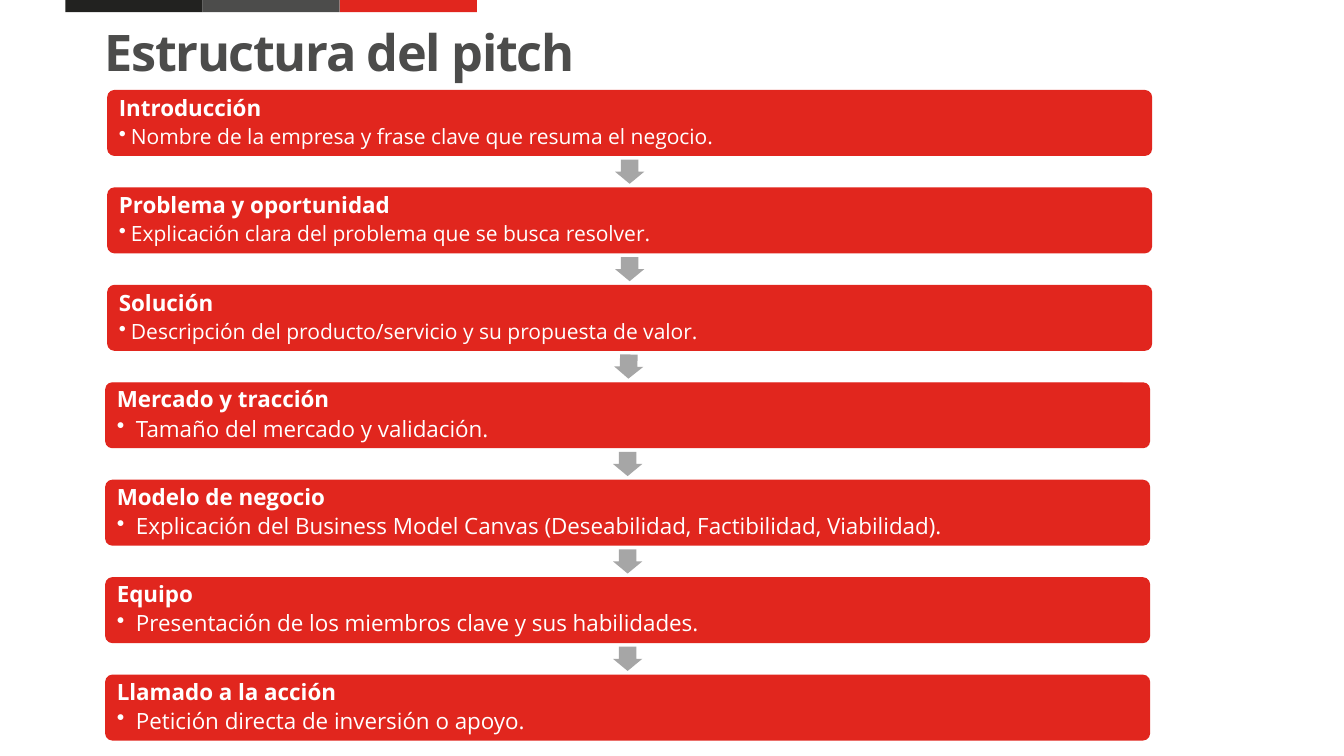
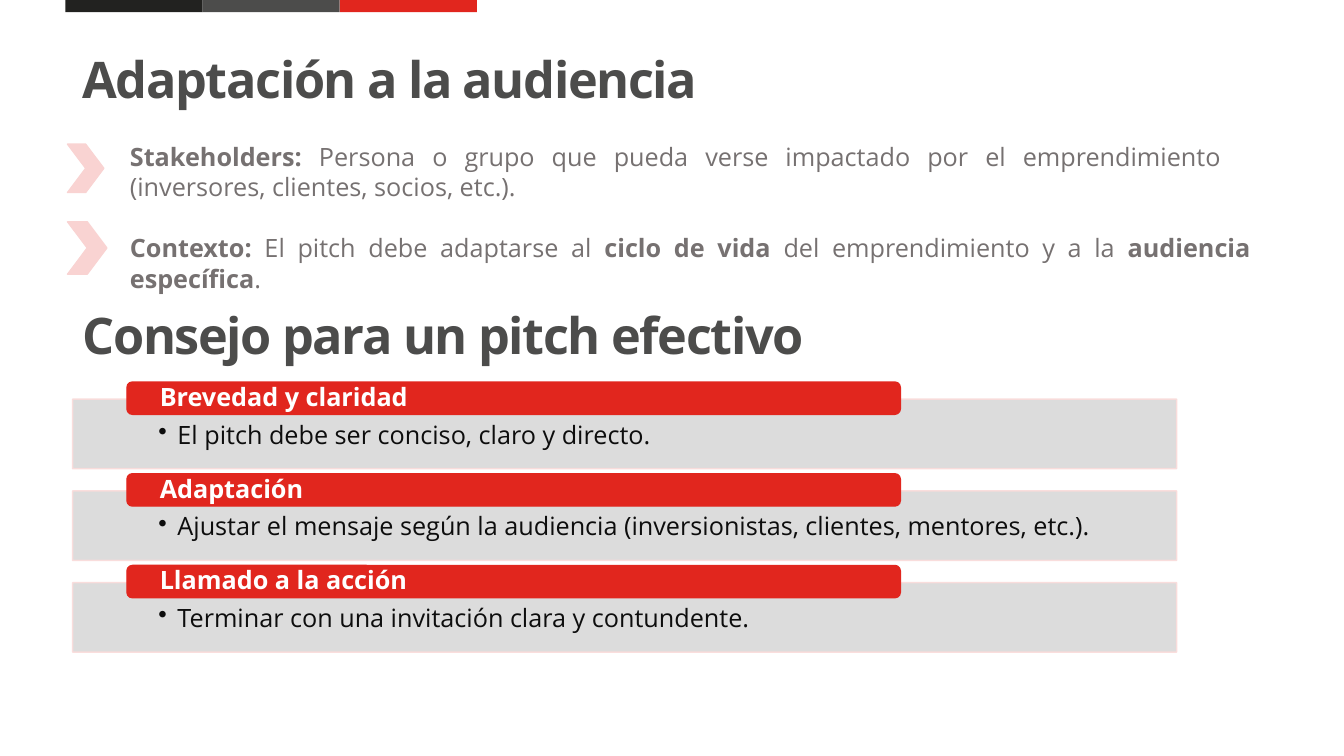
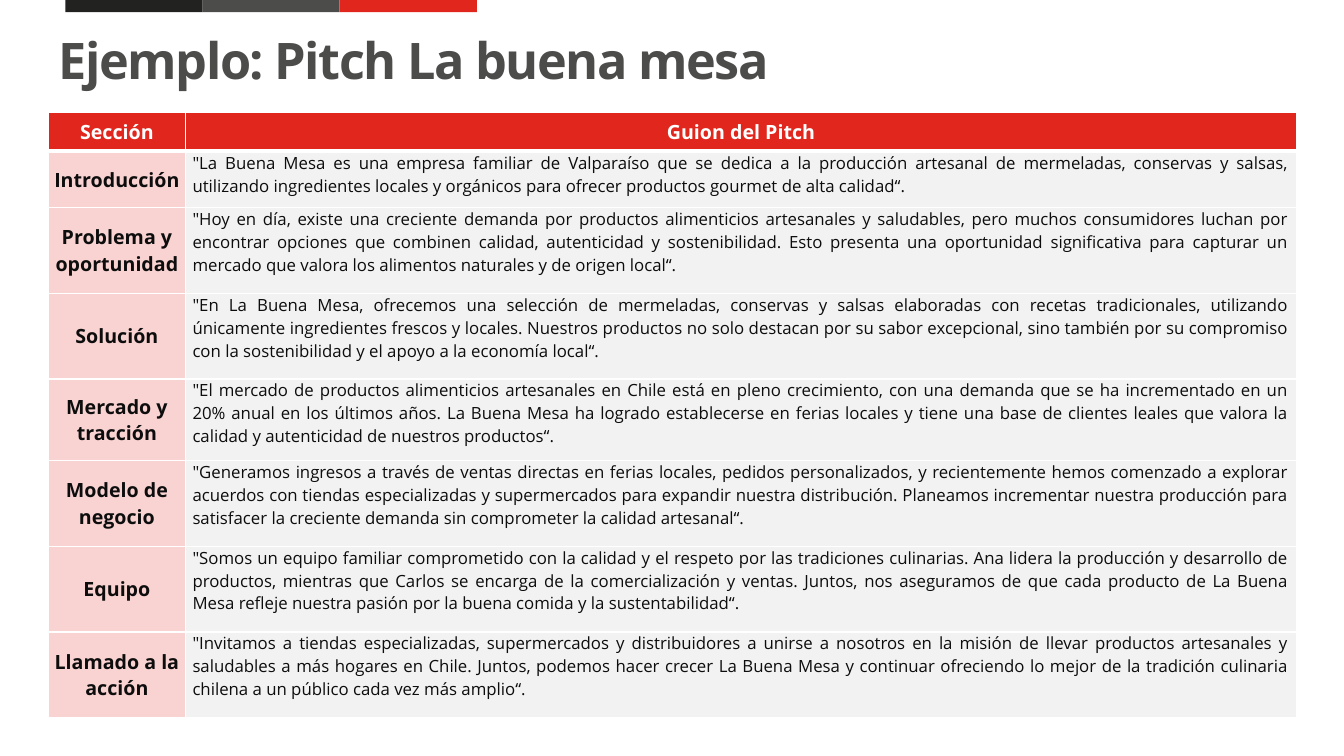
from math import atan2, degrees

from lxml.etree import SubElement
from pptx import Presentation
from pptx.dml.color import RGBColor
from pptx.enum.shapes import MSO_SHAPE as Shape
from pptx.enum.text import MSO_ANCHOR as Anchor, PP_ALIGN as Align
from pptx.oxml.ns import qn
from pptx.util import Inches, Pt

# Shared look
FONT = "Open Sans"
BLACK = RGBColor(0x22, 0x22, 0x20)
CHARCOAL = RGBColor(0x4C, 0x4C, 0x4B)
RED = RGBColor(0xE1, 0x26, 0x1E)
PINK = RGBColor(0xF9, 0xD3, 0xD2)
PALE_PINK = RGBColor(0xFA, 0xDB, 0xDA)
SILVER = RGBColor(0xD9, 0xD9, 0xD9)
ARROW_GRAY = RGBColor(0xA6, 0xA6, 0xA6)
TEXT_GRAY = RGBColor(0x76, 0x71, 0x71)
INK = RGBColor(0x0D, 0x0D, 0x0D)
LIGHT = RGBColor(0xF2, 0xF2, 0xF2)
WHITE = RGBColor(0xFF, 0xFF, 0xFF)

# Slide 1: heading, detail, box left, detail size, bullet indent
STEPS = [
    ("Introducción", "Nombre de la empresa y frase clave que resuma el negocio.", 1.07, 15, 0.12),
    ("Problema y oportunidad", "Explicación clara del problema que se busca resolver.", 1.07, 15, 0.12),
    ("Solución", "Descripción del producto/servicio y su propuesta de valor.", 1.07, 15, 0.12),
    ("Mercado y tracción", "Tamaño del mercado y validación.", 1.05, 16, 0.19),
    ("Modelo de negocio",
     "Explicación del Business Model Canvas (Deseabilidad, Factibilidad, Viabilidad).", 1.05, 16, 0.19),
    ("Equipo", "Presentación de los miembros clave y sus habilidades.", 1.05, 16, 0.19),
    ("Llamado a la acción", "Petición directa de inversión o apoyo.", 1.05, 16, 0.19),
]

# Slide 2: runs are (text, bold)
STAKEHOLDERS = [
    ("Stakeholders: ", True),
    ("Persona o grupo que pueda verse impactado por el emprendimiento "
     "(inversores, clientes, socios, etc.).", False),
]
CONTEXT = [
    ("Contexto: ", True), ("El pitch debe adaptarse al ", False), ("ciclo de vida ", True),
    ("del emprendimiento y a la ", False), ("audiencia específica", True), (".", False),
]
TIPS = [
    ("Brevedad y claridad", "El pitch debe ser conciso, claro y directo."),
    ("Adaptación",
     "Ajustar el mensaje según la audiencia (inversionistas, clientes, mentores, etc.)."),
    ("Llamado a la acción", "Terminar con una invitación clara y contundente."),
]

# Slide 3: section, script, row height
PITCH = [
    ("Sección", "Guion del Pitch", 0.38),
    ("Introducción",
     "\"La Buena Mesa es una empresa familiar de Valparaíso que se dedica a la producción artesanal "
     "de mermeladas, conservas y salsas, utilizando ingredientes locales y orgánicos para ofrecer "
     "productos gourmet de alta calidad“.", 0.56),
    ("Problema y oportunidad",
     "\"Hoy en día, existe una creciente demanda por productos alimenticios artesanales y saludables, "
     "pero muchos consumidores luchan por encontrar opciones que combinen calidad, autenticidad y "
     "sostenibilidad. Esto presenta una oportunidad significativa para capturar un mercado que valora "
     "los alimentos naturales y de origen local“.", 0.85),
    ("Solución",
     "\"En La Buena Mesa, ofrecemos una selección de mermeladas, conservas y salsas elaboradas con "
     "recetas tradicionales, utilizando únicamente ingredientes frescos y locales. Nuestros productos "
     "no solo destacan por su sabor excepcional, sino también por su compromiso con la sostenibilidad "
     "y el apoyo a la economía local“.", 0.85),
    ("Mercado y tracción",
     "\"El mercado de productos alimenticios artesanales en Chile está en pleno crecimiento, con una "
     "demanda que se ha incrementado en un 20% anual en los últimos años. La Buena Mesa ha logrado "
     "establecerse en ferias locales y tiene una base de clientes leales que valora la calidad y "
     "autenticidad de nuestros productos“.", 0.81),
    ("Modelo de negocio",
     "\"Generamos ingresos a través de ventas directas en ferias locales, pedidos personalizados, y "
     "recientemente hemos comenzado a explorar acuerdos con tiendas especializadas y supermercados "
     "para expandir nuestra distribución. Planeamos incrementar nuestra producción para satisfacer la "
     "creciente demanda sin comprometer la calidad artesanal“.", 0.85),
    ("Equipo",
     "\"Somos un equipo familiar comprometido con la calidad y el respeto por las tradiciones "
     "culinarias. Ana lidera la producción y desarrollo de productos, mientras que Carlos se encarga "
     "de la comercialización y ventas. Juntos, nos aseguramos de que cada producto de La Buena Mesa "
     "refleje nuestra pasión por la buena comida y la sustentabilidad“.", 0.85),
    ("Llamado a la acción",
     "\"Invitamos a tiendas especializadas, supermercados y distribuidores a unirse a nosotros en la "
     "misión de llevar productos artesanales y saludables a más hogares en Chile. Juntos, podemos "
     "hacer crecer La Buena Mesa y continuar ofreciendo lo mejor de la tradición culinaria chilena a "
     "un público cada vez más amplio“.", 0.85),
]


def set_format(target, values):
    for name, value in values.items():
        setattr(target, name, value)


def set_margins(target, left, top, right, bottom):
    set_format(target, {"margin_left": Inches(left), "margin_top": Inches(top),
                        "margin_right": Inches(right), "margin_bottom": Inches(bottom)})


def write(paragraph, runs, size, color, **layout):
    """Fill a paragraph with (text, bold) runs."""
    set_format(paragraph, layout)
    for text, bold in runs:
        run = paragraph.add_run()
        run.text = text
        set_format(run.font, {"name": FONT, "size": Pt(size), "bold": bold})
        run.font.color.rgb = color
    return paragraph


def add_bullet(paragraph, indent):
    props = paragraph._p.get_or_add_pPr()
    props.set("marL", str(Inches(indent)))
    props.set("indent", str(-Inches(indent)))
    SubElement(props, qn("a:buChar")).set("char", "•")


def add_block(slide, kind, box, fill, line=None, adjustments=()):
    block = slide.shapes.add_shape(kind, *map(Inches, box))
    block.shadow.inherit = False
    block.fill.solid()
    block.fill.fore_color.rgb = fill
    if line is None:
        block.line.fill.background()
    else:
        block.line.color.rgb = line
        block.line.width = Pt(1)
    for index, value in enumerate(adjustments):
        block.adjustments[index] = value
    return block


def text_in(block, margins, anchor):
    frame = block.text_frame
    set_format(frame, {"word_wrap": True, "vertical_anchor": anchor})
    set_margins(frame, *margins)
    return frame


def add_text(slide, box, runs, size, color, **layout):
    frame = slide.shapes.add_textbox(*map(Inches, box)).text_frame
    frame.word_wrap = True
    return write(frame.paragraphs[0], runs, size, color, **layout)


def add_title(slide, left, top, width, text):
    title = add_text(slide, (left, top, width, 0.69), [(text, True)], 36, CHARCOAL,
                     line_spacing=Pt(42))
    title.runs[0].font._element.set("spc", "-100")


def new_slide(deck):
    """Blank slide with the three-colour band at the top."""
    slide = deck.slides.add_slide(deck.slide_layouts[6])
    for index, color in enumerate((BLACK, CHARCOAL, RED)):
        add_block(slide, Shape.RECTANGLE, (0.65 + index * 1.36, 0, 1.36, 0.12), color)
    return slide


# Slide 1 parts
def add_step(slide, box, heading, detail, detail_size, indent):
    step = add_block(slide, Shape.ROUNDED_RECTANGLE, box, RED, RED, [0.1])
    frame = text_in(step, (0.09, 0.09, 0.09, 0.09), Anchor.MIDDLE)
    write(frame.paragraphs[0], [(heading, True)], 16, WHITE,
          alignment=Align.LEFT, line_spacing=0.9, space_after=Pt(3.5))
    add_bullet(write(frame.add_paragraph(), [(detail, False)], detail_size, WHITE,
                     alignment=Align.LEFT, line_spacing=0.9, space_after=Pt(1.5)), indent)


def add_step_arrow(slide, center_x, center_y, rotation):
    width, height = 0.29, 0.24
    arrow = add_block(slide, Shape.DOWN_ARROW,
                      (center_x - width / 2, center_y - height / 2, width, height),
                      ARROW_GRAY, adjustments=[0.6, 0.5])
    arrow.rotation = rotation


def add_step_flow(slide, top, bottom, width, height):
    pitch = (bottom - height - top) / (len(STEPS) - 1)
    for index, (heading, detail, left, size, indent) in enumerate(STEPS):
        y = top + index * pitch
        add_step(slide, (left, y, width, height), heading, detail, size, indent)
        if index + 1 < len(STEPS):
            next_left = STEPS[index + 1][2]
            add_step_arrow(slide, (left + next_left + width) / 2, y + (height + pitch) / 2,
                           degrees(atan2(left - next_left, pitch)))


# Slide 2 parts
def add_audience_point(slide, marker_box, text_box, runs):
    add_text(slide, text_box, runs, 18, TEXT_GRAY, alignment=Align.JUSTIFY)
    add_block(slide, Shape.CHEVRON, marker_box, PINK, PINK)


def add_tip(slide, left, top, heading, detail):
    panel = add_block(slide, Shape.RECTANGLE, (left, top, 10.95, 0.69), SILVER, PALE_PINK)
    for color in panel._element.spPr.iter(qn("a:srgbClr")):
        SubElement(color, qn("a:alpha")).set("val", "90000")
    frame = text_in(panel, (0.85, 0.23, 0.85, 0.14), Anchor.TOP)
    add_bullet(write(frame.paragraphs[0], [(detail, False)], 18, INK,
                     alignment=Align.LEFT, line_spacing=0.9), 0.19)

    tab = add_block(slide, Shape.ROUNDED_RECTANGLE, (left + 0.54, top - 0.17, 7.67, 0.32), RED, RED)
    frame = text_in(tab, (0.31, 0, 0.31, 0), Anchor.MIDDLE)
    write(frame.paragraphs[0], [(heading, True)], 18, WHITE,
          alignment=Align.LEFT, line_spacing=0.9)


# Slide 3 parts
def add_cell_borders(cell, bottom_width):
    props = cell._tc.get_or_add_tcPr()
    widths = {"a:lnL": 1, "a:lnR": 1, "a:lnT": 1, "a:lnB": bottom_width}
    for index, (side, width) in enumerate(widths.items()):
        border = props.makeelement(qn(side), {"w": str(Pt(width))})
        fill = SubElement(border, qn("a:solidFill"))
        SubElement(fill, qn("a:srgbClr")).set("val", str(WHITE))
        props.insert(index, border)


def add_cell(cell, text, is_header, is_script):
    if is_header:
        fill, color = RED, WHITE
    else:
        fill, color = (LIGHT if is_script else PINK), INK
    body = is_script and not is_header
    side = 0.07 if body else 0.04
    cell.fill.solid()
    cell.fill.fore_color.rgb = fill
    cell.vertical_anchor = Anchor.TOP if body else Anchor.MIDDLE
    set_margins(cell, side, 0, side, 0)
    write(cell.text_frame.paragraphs[0], [(text, not body)], 12 if body else 14, color,
          alignment=Align.JUSTIFY if body else Align.CENTER, space_after=Pt(8))
    add_cell_borders(cell, 3 if is_header else 1)


def add_pitch_table(slide, left, top, column_widths):
    height = sum(row[2] for row in PITCH)
    box = (left, top, sum(column_widths), height)
    table = slide.shapes.add_table(len(PITCH), len(column_widths), *map(Inches, box)).table
    table.horz_banding = False
    for column, width in zip(table.columns, column_widths):
        column.width = Inches(width)
    for index, (section, script, row_height) in enumerate(PITCH):
        table.rows[index].height = Inches(row_height)
        add_cell(table.cell(index, 0), section, index == 0, False)
        add_cell(table.cell(index, 1), script, index == 0, True)


# Slides
def structure_slide(deck):
    slide = new_slide(deck)
    add_title(slide, 0.94, 0.18, 9.12, "Estructura del pitch")
    add_step_flow(slide, 0.9, 7.34, 10.35, 0.64)


def audience_slide(deck):
    slide = new_slide(deck)
    add_title(slide, 0.72, 0.44, 9.47, "Adaptación a la audiencia")
    add_audience_point(slide, (0.67, 1.43, 0.36, 0.48), (1.19, 1.35, 11.02, 0.71), STAKEHOLDERS)
    add_audience_point(slide, (0.67, 2.2, 0.39, 0.52), (1.19, 2.26, 11.31, 0.71), CONTEXT)
    add_title(slide, 0.72, 2.98, 7.99, "Consejo para un pitch efectivo")
    for index, (heading, detail) in enumerate(TIPS):
        add_tip(slide, 0.72, 3.96 + index * 0.91, heading, detail)


def example_slide(deck):
    slide = new_slide(deck)
    add_pitch_table(slide, 0.48, 1.12, (1.36, 11.02))
    add_title(slide, 0.48, 0.26, 12.38, "Ejemplo: Pitch La buena mesa")


def main():
    deck = Presentation()
    deck.slide_width, deck.slide_height = Inches(13.33), Inches(7.5)
    structure_slide(deck)
    audience_slide(deck)
    example_slide(deck)
    deck.save("out.pptx")


if __name__ == "__main__":
    main()
